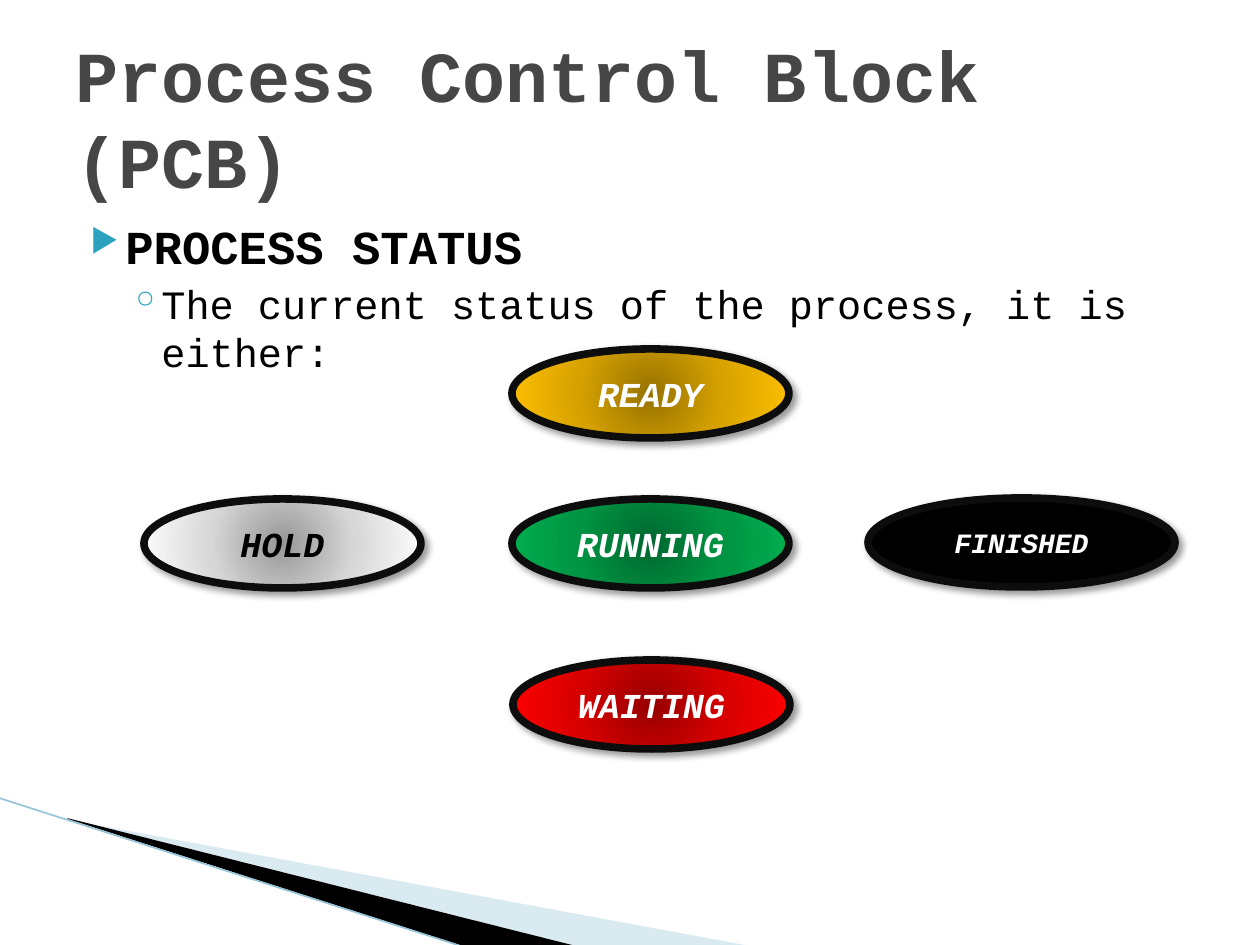
from lxml.etree import SubElement
from pptx import Presentation
from pptx.dml.color import RGBColor
from pptx.enum.shapes import MSO_CONNECTOR as Connector, MSO_SHAPE as Shape
from pptx.enum.text import MSO_ANCHOR as Anchor, PP_ALIGN as Align
from pptx.oxml import parse_xml
from pptx.oxml.ns import nsdecls, qn
from pptx.util import Emu, Pt

PX = 914400 / 126
FONT = "Courier New"
BLACK = RGBColor(0x00, 0x00, 0x00)
WHITE = RGBColor(0xFF, 0xFF, 0xFF)
GREY = RGBColor(0x46, 0x46, 0x46)
TEAL = RGBColor(0x2D, 0xA2, 0xBF)
PALE_BLUE = RGBColor(0xA0, 0xCB, 0xDC)
EDGE_BLUE = RGBColor(0x97, 0xC5, 0xD8)
OUTLINE = RGBColor(0x0D, 0x0D, 0x0D)
SILVERS = RGBColor(0x97, 0x97, 0x97), RGBColor(0xD7, 0xD7, 0xD7), WHITE
AMBERS = RGBColor(0x97, 0x72, 0x00), RGBColor(0xD7, 0xA2, 0x00), RGBColor(0xFF, 0xC0, 0x00)
REDS = RGBColor(0x97, 0x00, 0x00), RGBColor(0xD7, 0x00, 0x00), RGBColor(0xFF, 0x00, 0x00)
GREENS = RGBColor(0x00, 0x68, 0x2F), RGBColor(0x00, 0x94, 0x43), RGBColor(0x00, 0xB0, 0x50)

STATE_SIZE = 277, 89
STATES = [
    ("HOLD", (144, 499), STATE_SIZE, SILVERS, BLACK, 20),
    ("READY", (512, 349), STATE_SIZE, AMBERS, WHITE, 20),
    ("WAITING", (513, 660), STATE_SIZE, REDS, WHITE, 20),
    ("RUNNING", (512, 499), STATE_SIZE, GREENS, WHITE, 20),
    ("FINISHED", (868, 498), (307, 89), None, WHITE, 16),
]


def px(*lengths):
    return [Emu(round(length * PX)) for length in lengths]


def apply(target, values):
    for name, value in values.items():
        setattr(target, name, value)


def write(paragraph, text, color, **values):
    run = paragraph.add_run()
    run.text = text
    apply(run.font, {"name": FONT, **values})
    run.font.color.rgb = color


def add_wedge(slide, points, color, opacity=100):
    builder = slide.shapes.build_freeform(*points[0], scale=PX)
    builder.add_line_segments(points[1:], close=True)
    wedge = builder.convert_to_shape()
    wedge.shadow.inherit = False
    wedge.fill.solid()
    wedge.fill.fore_color.rgb = color
    wedge.line.fill.background()
    if opacity < 100:
        tint = wedge._element.spPr.find(qn("a:solidFill"))[0]
        SubElement(tint, qn("a:alpha"), val=str(opacity * 1000))


def add_edge(slide, start, end):
    edge = slide.shapes.add_connector(Connector.STRAIGHT, *px(*start, *end))
    edge.line.color.rgb = EDGE_BLUE
    edge.line.width = Pt(0.95)
    SubElement(edge._element.spPr, qn("a:effectLst"))


def add_text_frame(slide, box, **values):
    frame = slide.shapes.add_textbox(*px(*box)).text_frame
    apply(frame, {"word_wrap": True, **values})
    return frame


def set_bullet(paragraph, symbol, left, indent, percent):
    properties = paragraph._p.get_or_add_pPr()
    margin, hanging = px(left, indent)
    properties.set("marL", str(margin))
    properties.set("indent", str(hanging))
    color = SubElement(properties, qn("a:buClr"))
    SubElement(color, qn("a:srgbClr"), val=str(TEAL))
    SubElement(properties, qn("a:buSzPct"), val=str(percent * 1000))
    SubElement(properties, qn("a:buChar"), char=symbol)


def radial_fill(colors):
    stops = "".join(
        f'<a:gs pos="{place * 50000}"><a:srgbClr val="{color}"/></a:gs>'
        for place, color in enumerate(colors)
    )
    return parse_xml(
        f'<a:gradFill {nsdecls("a")} rotWithShape="1"><a:gsLst>{stops}</a:gsLst>'
        '<a:path path="circle"><a:fillToRect l="50000" t="50000" r="50000" b="50000"/>'
        "</a:path></a:gradFill>"
    )


def drop_shadow():
    return parse_xml(
        f'<a:effectLst {nsdecls("a")}><a:outerShdw blurRad="{Pt(4)}" dist="{Pt(3)}" '
        'dir="2700000" algn="tl" rotWithShape="0"><a:srgbClr val="000000">'
        '<a:alpha val="40000"/></a:srgbClr></a:outerShdw></a:effectLst>'
    )


def add_state(slide, label, corner, size, colors, text_color, points):
    state = slide.shapes.add_shape(Shape.OVAL, *px(*corner, *size))
    state.fill.solid()
    state.fill.fore_color.rgb = BLACK
    state.line.color.rgb = OUTLINE
    state.line.width = Pt(4.33)
    properties = state._element.spPr
    if colors:
        properties.replace(properties.find(qn("a:solidFill")), radial_fill(colors))
    properties.append(drop_shadow())
    frame = state.text_frame
    frame.vertical_anchor = Anchor.MIDDLE
    paragraph = frame.paragraphs[0]
    paragraph.alignment = Align.CENTER
    write(paragraph, label, text_color, size=Pt(points), bold=True, italic=True)


def add_body(slide):
    body = add_text_frame(slide, (63, 204, 1134, 624), margin_top=px(13)[0])
    heading = body.paragraphs[0]
    set_bullet(heading, "▶", 50, -35, 68)
    write(heading, "PROCESS STATUS", BLACK, size=Pt(27), bold=True)
    detail = body.add_paragraph()
    detail.level = 1
    detail.space_before = Pt(3.2)
    set_bullet(detail, "◦", 86, -32, 100)
    write(detail, "The current status of the process, it is either:", BLACK, size=Pt(23))


def main():
    deck = Presentation()
    apply(deck, dict(zip(("slide_width", "slide_height"), px(1260, 945))))
    slide = deck.slides.add_slide(deck.slide_layouts[6])
    add_wedge(slide, [(69, 820), (750, 946), (575, 946), (69, 819)], PALE_BLUE, 40)
    add_wedge(slide, [(67, 818), (576, 946), (469, 948), (68, 819)], BLACK)
    add_edge(slide, (-1, 798), (467, 948))
    add_body(slide)
    title = add_text_frame(slide, (63, 38, 1134, 158), vertical_anchor=Anchor.MIDDLE)
    write(title.paragraphs[0], "Process Control Block (PCB)", GREY, size=Pt(41), bold=True)
    for state in STATES:
        add_state(slide, *state)
    deck.save("out.pptx")


if __name__ == "__main__":
    main()
